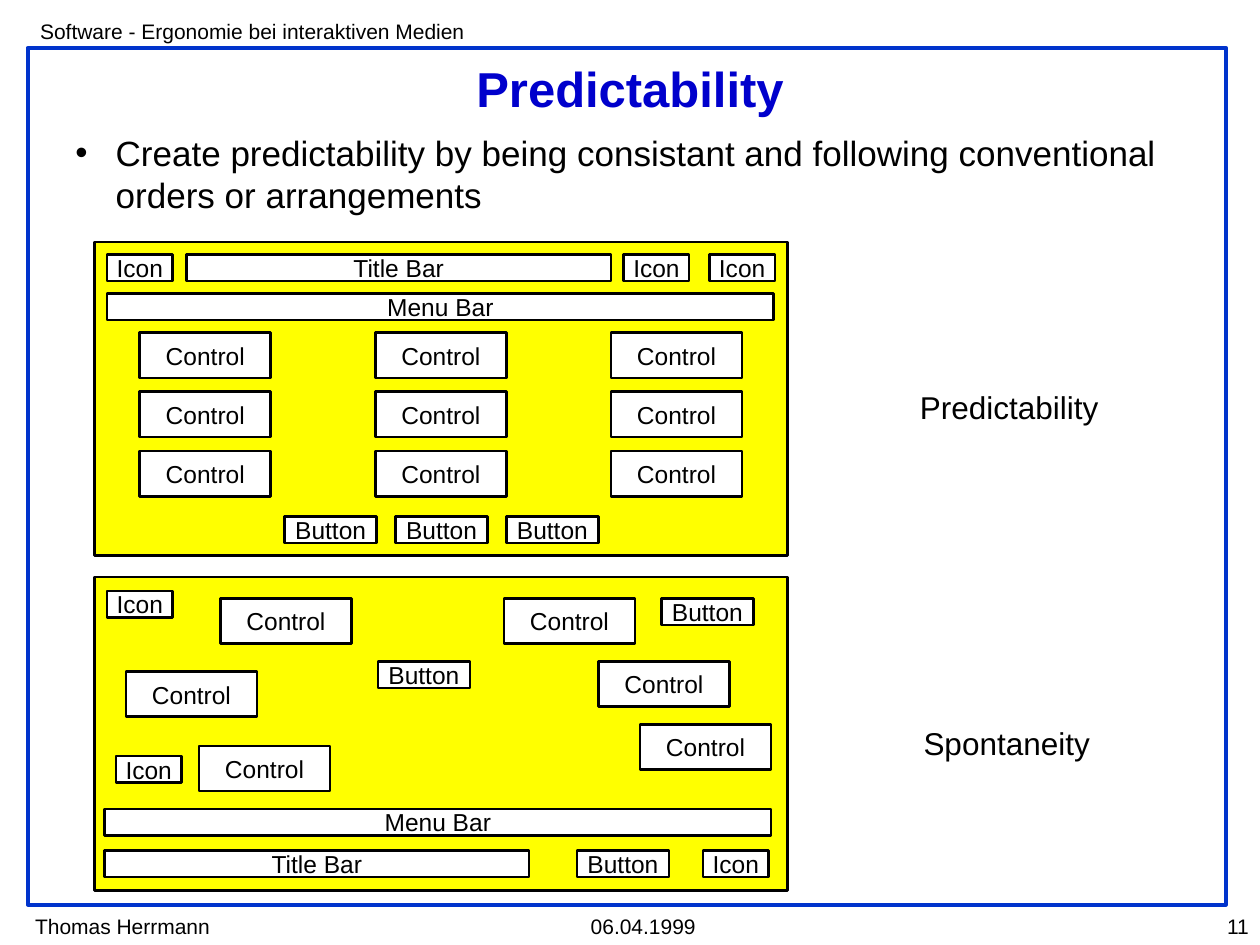
from typing import NamedTuple

from lxml.etree import SubElement
from pptx import Presentation
from pptx.dml.color import RGBColor
from pptx.enum.shapes import MSO_SHAPE
from pptx.enum.text import MSO_ANCHOR, MSO_AUTO_SIZE, PP_ALIGN
from pptx.oxml.ns import qn
from pptx.util import Inches, Pt

SLIDE_WIDTH, SLIDE_HEIGHT = Inches(10), Inches(7.5)
COLUMN, ROW = SLIDE_WIDTH / 100, SLIDE_HEIGHT / 75

BLACK = RGBColor(0x00, 0x00, 0x00)
WHITE = RGBColor(0xFF, 0xFF, 0xFF)
YELLOW = RGBColor(0xFF, 0xFF, 0x00)
FRAME_BLUE = RGBColor(0x00, 0x33, 0xCC)
TITLE_BLUE = RGBColor(0x00, 0x00, 0xCC)


class Area(NamedTuple):
    """Place and size in grid columns and rows."""
    left: float
    top: float
    width: float
    height: float

    def lengths(self) -> tuple:
        return (round(self.left * COLUMN), round(self.top * ROW),
                round(self.width * COLUMN), round(self.height * ROW))


class Widget(NamedTuple):
    label: str
    width: float
    height: float


class Placement(NamedTuple):
    """A widget and its offset from the window's top left corner."""
    widget: Widget
    left: float
    top: float


class Window(NamedTuple):
    top: float
    placements: list
    caption: str
    caption_area: Area


ICON = Widget("Icon", 5.2, 2.1)
TITLE_BAR = Widget("Title Bar", 33.7, 2.1)
MENU_BAR = Widget("Menu Bar", 52.9, 2.1)
CONTROL = Widget("Control", 10.4, 3.6)
BUTTON = Widget("Button", 7.3, 2.1)

WINDOW_LEFT, WINDOW_WIDTH, WINDOW_HEIGHT = 7.5, 55, 24.9

ORDERLY = [
    Placement(ICON, 1, 1),
    Placement(TITLE_BAR, 7.3, 1),
    Placement(ICON, 42, 1),
    Placement(ICON, 48.8, 1),
    Placement(MENU_BAR, 1, 4.1),
    *(Placement(CONTROL, 3.6 + 18.7 * column, 7.2 + 4.7 * row)
      for column in range(3) for row in range(3)),
    *(Placement(BUTTON, 15.1 + 8.8 * column, 21.8) for column in range(3)),
]
SCATTERED = [
    Placement(ICON, 1, 1.1),
    Placement(TITLE_BAR, 0.8, 21.7),
    Placement(ICON, 1.7, 14.2),
    Placement(ICON, 48.3, 21.7),
    Placement(MENU_BAR, 0.8, 18.4),
    Placement(CONTROL, 2.5, 7.5),
    Placement(CONTROL, 8.3, 13.4),
    Placement(CONTROL, 10, 1.7),
    Placement(CONTROL, 32.5, 1.7),
    Placement(CONTROL, 40, 6.7),
    Placement(CONTROL, 43.3, 11.7),
    Placement(BUTTON, 22.5, 6.7),
    Placement(BUTTON, 45, 1.7),
    Placement(BUTTON, 38.3, 21.7),
]
WINDOWS = [
    Window(19.2, ORDERLY, "Predictability", Area(73, 30.8, 14.2, 3)),
    Window(45.8, SCATTERED, "Spontaneity", Area(73.3, 57.5, 13.2, 3)),
]


def write_text(shape, text: str, *, size: float, color: RGBColor = BLACK,
               bold: bool = False, align=PP_ALIGN.LEFT, anchor=MSO_ANCHOR.TOP,
               wrap: bool = False, padded: bool = True, bullet: str = "") -> None:
    frame = shape.text_frame
    frame.text = text
    frame.auto_size = MSO_AUTO_SIZE.NONE
    frame.word_wrap = wrap
    frame.vertical_anchor = anchor
    frame.margin_left = frame.margin_right = Inches(0.1 if padded else 0)
    frame.margin_top = frame.margin_bottom = Inches(0.05 if padded else 0)
    paragraph = frame.paragraphs[0]
    paragraph.alignment = align
    if bullet:
        add_bullet(paragraph, bullet)
    font = paragraph.runs[0].font
    font.name, font.size, font.bold = "Arial", Pt(size), bold
    font.color.rgb = color


def add_bullet(paragraph, bullet: str) -> None:
    properties = paragraph._p.get_or_add_pPr()
    indent = Inches(0.32)
    properties.set("marL", str(indent))
    properties.set("indent", str(-indent))
    SubElement(properties, qn("a:buFont"), typeface="Arial")
    SubElement(properties, qn("a:buChar"), char=bullet)


def add_text(shapes, area: Area, text: str, **text_format) -> None:
    write_text(shapes.add_textbox(*area.lengths()), text, **text_format)


def add_rectangle(shapes, area: Area, *, fill: RGBColor | None = None,
                  line: RGBColor = BLACK, line_width: float = 1.5):
    rectangle = shapes.add_shape(MSO_SHAPE.RECTANGLE, *area.lengths())
    rectangle.shadow.inherit = False
    if fill is None:
        rectangle.fill.background()
    else:
        rectangle.fill.solid()
        rectangle.fill.fore_color.rgb = fill
    rectangle.line.color.rgb = line
    rectangle.line.width = Pt(line_width)
    return rectangle


def draw_window(slide, window: Window) -> None:
    """Draw a window with its widgets and caption as one group."""
    shapes = slide.shapes.add_group_shape().shapes
    centred = dict(align=PP_ALIGN.CENTER, anchor=MSO_ANCHOR.MIDDLE, padded=False)
    add_rectangle(shapes, Area(WINDOW_LEFT, window.top, WINDOW_WIDTH, WINDOW_HEIGHT),
                  fill=YELLOW)
    for widget, left, top in window.placements:
        area = Area(WINDOW_LEFT + left, window.top + top, widget.width, widget.height)
        write_text(add_rectangle(shapes, area, fill=WHITE), widget.label,
                   size=14, **centred)
    add_text(shapes, window.caption_area, window.caption, size=18, **centred)


def draw_page_frame(slide) -> None:
    add_rectangle(slide.shapes, Area(2.2, 3.8, 95.1, 68), line=FRAME_BLUE,
                  line_width=2.25)
    for area, text, align in (
        (Area(1.8, 72, 15.9, 3), "Thomas Herrmann", PP_ALIGN.LEFT),
        (Area(2.2, 1, 37, 3), "Software - Ergonomie bei interaktiven Medien", PP_ALIGN.LEFT),
        (Area(45.9, 72, 10.3, 3), "06.04.1999", PP_ALIGN.LEFT),
        (Area(90.5, 72, 9.6, 3), "11", PP_ALIGN.RIGHT),
    ):
        add_text(slide.shapes, area, text, size=12, align=align)


def main() -> None:
    presentation = Presentation()
    presentation.slide_width, presentation.slide_height = SLIDE_WIDTH, SLIDE_HEIGHT
    slide = presentation.slides.add_slide(presentation.slide_layouts[5])
    draw_page_frame(slide)

    title = slide.shapes.title
    title.left, title.top, title.width, title.height = Area(5, 4.2, 90, 5.6).lengths()
    write_text(title, "Predictability", size=28, color=TITLE_BLUE, bold=True,
               align=PP_ALIGN.CENTER, anchor=MSO_ANCHOR.MIDDLE, wrap=True)
    add_text(slide.shapes, Area(5, 10, 90, 7.6),
             "Create predictability by being consistant and following "
             "conventional orders or arrangements",
             size=20, anchor=MSO_ANCHOR.MIDDLE, wrap=True, bullet="•")

    for window in WINDOWS:
        draw_window(slide, window)
    presentation.save("out.pptx")


if __name__ == "__main__":
    main()
